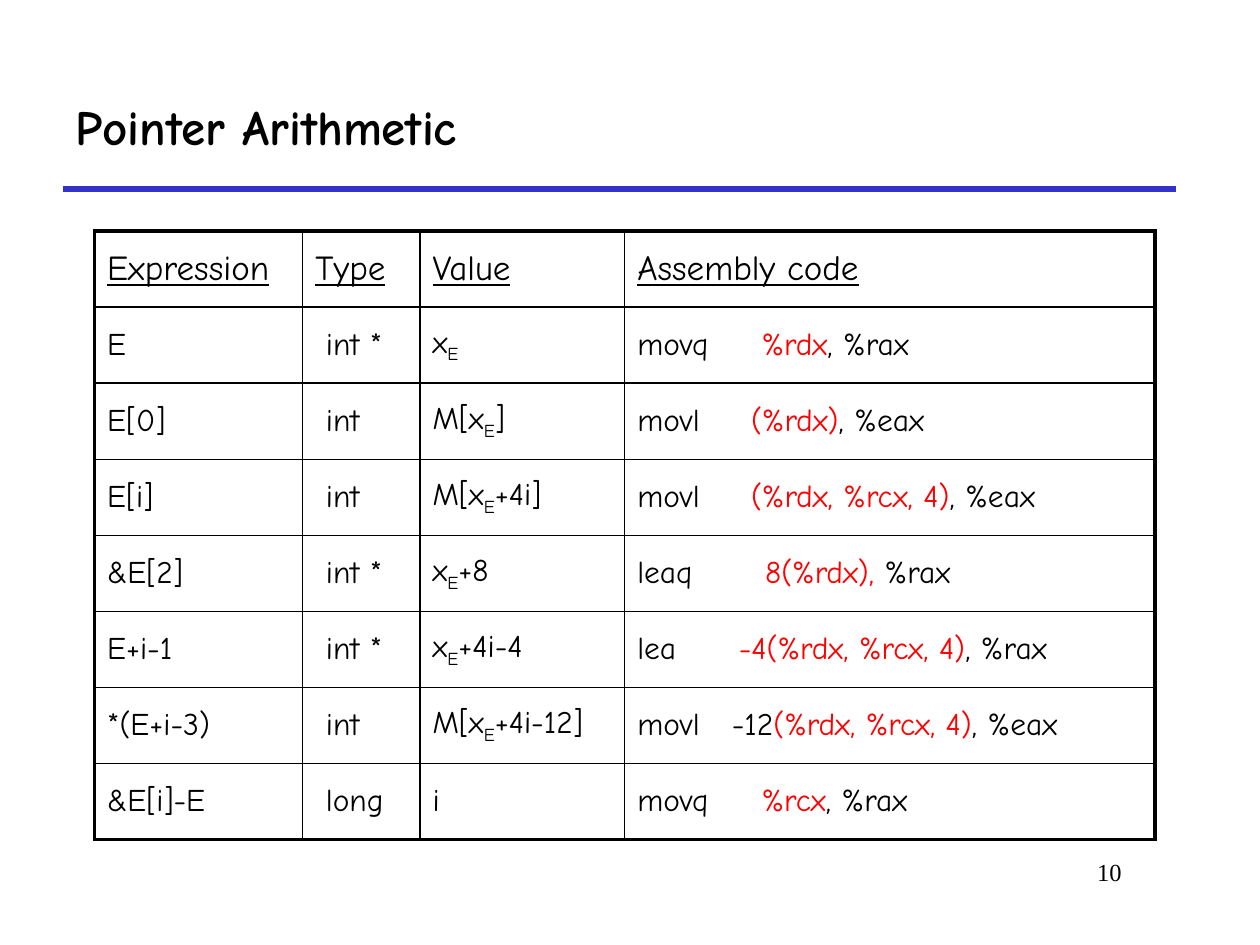
from dataclasses import dataclass

from lxml import etree
from pptx import Presentation
from pptx.dml.color import RGBColor
from pptx.enum import shapes, text
from pptx.oxml import ns
from pptx.util import Pt


@dataclass(frozen=True)
class Theme:
    ink: str = "000000"
    rule: str = "3333CC"
    mark: str = "FF0000"
    font: str = "Comic Neue"
    serif: str = "Times New Roman"
    title: int = 28
    head: int = 20
    body: int = 18
    page: int = 14
    thin: float = 1
    thick: float = 2.25


THEME = Theme()
HEADS = ("Expression", "Type", "Value", "Assembly code")
COLS = (119, 67, 117, 303)
ROW = 43.5
INDENT = 6

# Expression, type, value (_ marks a subscript letter),
# then opcode, tab stop, and plain / marked / plain operand parts
ROWS = (
    ("E", "int *", "x_E", "movq", 71, ("", "%rdx", ", %rax")),
    ("E[0]", "int", "M[x_E]", "movl", 65, ("", "(%rdx)", ", %eax")),
    ("E[i]", "int", "M[x_E+4i]", "movl", 65,
     ("", "(%rdx, %rcx, 4)", ", %eax")),
    ("&E[2]", "int *", "x_E+8", "leaq", 73, ("", "8(%rdx),", " %rax")),
    ("E+i-1", "int *", "x_E+4i-4", "lea", 58,
     ("", "-4(%rdx, %rcx, 4)", ", %rax")),
    ("*(E+i-3)", "int", "M[x_E+4i-12]", "movl", 54,
     ("-12", "(%rdx, %rcx, 4)", ", %eax")),
    ("&E[i]-E", "long", "i", "movq", 71, ("", "%rcx", ", %rax")),
)


def style(run, size, color=THEME.ink, font=THEME.font):
    run.font.name = font
    run.font.size = Pt(size)
    run.font.color.rgb = RGBColor.from_string(color)


def add_part(para, words, color=THEME.ink):
    """Add one body-size run and return it."""
    run = para.add_run()
    run.text = words
    style(run, THEME.body, color)
    return run


def add_title(slide, words):
    box = slide.shapes.title
    box.left, box.top, box.width, box.height = Pt(36), Pt(36), Pt(636), Pt(72)
    frame = box.text_frame
    frame.text = words
    frame.vertical_anchor = text.MSO_ANCHOR.MIDDLE
    para = frame.paragraphs[0]
    para.alignment = text.PP_ALIGN.LEFT
    style(para.runs[0], THEME.title)
    para.runs[0].font.bold = True


def add_rule(slide):
    line = slide.shapes.add_connector(
        shapes.MSO_CONNECTOR.STRAIGHT, Pt(36), Pt(108), Pt(672), Pt(108))
    line.line.color.rgb = RGBColor.from_string(THEME.rule)
    line.line.width = Pt(3)
    etree.SubElement(line._element.spPr, ns.qn("a:effectLst"))


def add_page(slide, words):
    box = slide.shapes.add_textbox(Pt(546), Pt(486), Pt(102), Pt(36))
    frame = box.text_frame
    frame.word_wrap = True
    frame.text = words
    para = frame.paragraphs[0]
    para.alignment = text.PP_ALIGN.RIGHT
    style(para.runs[0], THEME.page, font=THEME.serif)


def set_edges(cell, outer):
    """Draw left, right, top and bottom borders; outer edges are thick."""
    props = cell._tc.get_or_add_tcPr()
    for pos, (side, far) in enumerate(zip("LRTB", outer)):
        width = THEME.thick if far else THEME.thin
        edge = etree.Element(ns.qn(f"a:ln{side}"), w=str(int(Pt(width))))
        fill = etree.SubElement(edge, ns.qn("a:solidFill"))
        etree.SubElement(fill, ns.qn("a:srgbClr"), val=THEME.ink)
        props.insert(pos, edge)


def fill_value(para, words):
    base, mark, rest = words.partition("_")
    add_part(para, base)
    if mark:
        sub = add_part(para, rest[0])
        sub.font._element.set("baseline", "-25000")
        if rest[1:]:
            add_part(para, rest[1:])


def fill_code(para, code, stop, parts):
    tabs = etree.SubElement(para._p.get_or_add_pPr(), ns.qn("a:tabLst"))
    etree.SubElement(tabs, ns.qn("a:tab"), pos=str(int(Pt(stop))), algn="l")
    lead, args, tail = parts
    add_part(para, f"{code}\t{lead}")
    add_part(para, args, THEME.mark)
    add_part(para, tail)


def add_grid(slide):
    count = len(ROWS) + 1
    grid = slide.shapes.add_table(
        count, len(COLS), Pt(54), Pt(132), Pt(sum(COLS)),
        Pt(ROW * count)).table
    for col, width in zip(grid.columns, COLS):
        col.width = Pt(width)
    for row in grid.rows:
        row.height = Pt(ROW)

    # Cell frames
    for r in range(count):
        for c in range(len(COLS)):
            cell = grid.cell(r, c)
            cell.fill.background()
            cell.vertical_anchor = text.MSO_ANCHOR.MIDDLE
            set_edges(cell, (c == 0, c == len(COLS) - 1,
                             r == 0, r == count - 1))

    # Header row
    for c, words in enumerate(HEADS):
        para = grid.cell(0, c).text_frame.paragraphs[0]
        para.text = words
        style(para.runs[0], THEME.head)
        para.runs[0].font.bold = False
        para.runs[0].font.underline = True

    # Body rows
    for r, (expr, kind, value, code, stop, parts) in enumerate(ROWS, 1):
        paras = [grid.cell(r, c).text_frame.paragraphs[0]
                 for c in range(len(COLS))]
        add_part(paras[0], expr)
        paras[1]._p.get_or_add_pPr().set("marL", str(int(Pt(INDENT))))
        add_part(paras[1], kind)
        fill_value(paras[2], value)
        fill_code(paras[3], code, stop, parts)


def main():
    deck = Presentation()
    deck.slide_width, deck.slide_height = Pt(720), Pt(540)
    slide = deck.slides.add_slide(deck.slide_layouts[5])
    add_rule(slide)
    add_page(slide, "10")
    add_title(slide, "Pointer Arithmetic")
    add_grid(slide)
    deck.save("out.pptx")


if __name__ == "__main__":
    main()
